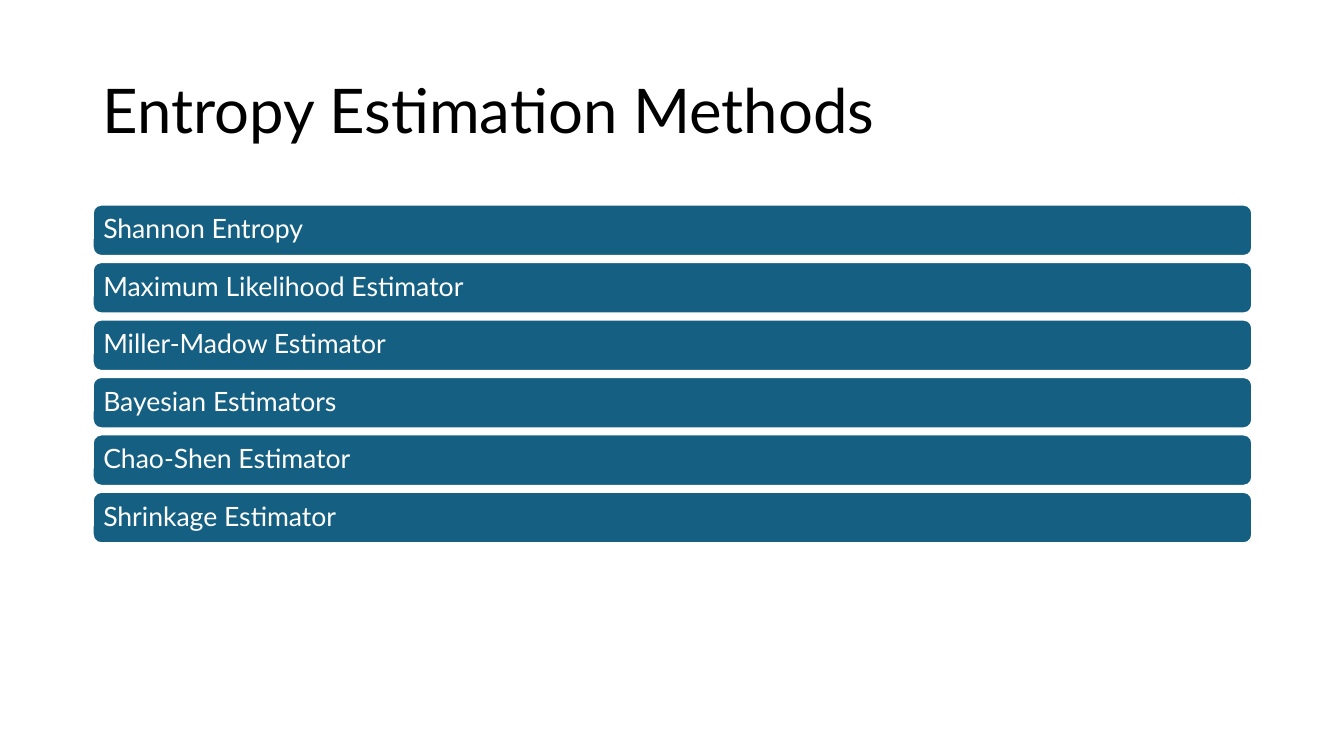
from pptx import Presentation
from pptx.dml.color import RGBColor
from pptx.enum.shapes import MSO_SHAPE
from pptx.enum.text import MSO_ANCHOR, MSO_AUTO_SIZE, PP_ALIGN
from pptx.util import Inches, Pt

ROUND = MSO_SHAPE.ROUNDED_RECTANGLE
MIDDLE = MSO_ANCHOR.MIDDLE
NO_FIT = MSO_AUTO_SIZE.NONE
LEFT = PP_ALIGN.LEFT

COLORS = {"ink": "000000", "bar": "156082", "white": "FFFFFF"}
METHODS = [
    "Shannon Entropy",
    "Maximum Likelihood Estimator",
    "Miller-Madow Estimator",
    "Bayesian Estimators",
    "Chao-Shen Estimator",
    "Shrinkage Estimator",
]


def color(name):
    return RGBColor.from_string(COLORS[name])


def apply(target, values):
    for name, value in values.items():
        setattr(target, name, value)


class Deck:
    """Holds the text style and the current slide."""

    font = "Lato"
    frame = {"word_wrap": True, "auto_size": NO_FIT, "vertical_anchor": MIDDLE}
    para = {"alignment": LEFT, "line_spacing": 0.9}
    inset = {f"margin_{side}": Inches(0.08)
             for side in ("left", "right", "top", "bottom")}

    def __init__(self, show):
        # Title Only layout
        self.slide = show.slides.add_slide(show.slide_layouts[5])

    def label(self, shape, text, size, ink):
        frame = shape.text_frame
        frame.text = text
        apply(frame, self.frame)
        para = frame.paragraphs[0]
        apply(para, self.para)
        apply(para.font, {"name": self.font, "size": Pt(size), "bold": False})
        para.font.color.rgb = color(ink)

    def title(self, text, left, top, width, height):
        shape = self.slide.shapes.title
        apply(shape, {"left": Inches(left), "top": Inches(top),
                      "width": Inches(width), "height": Inches(height)})
        self.label(shape, text, 44, "ink")

    def bar(self, text, left, top, width, height):
        shape = self.slide.shapes.add_shape(
            ROUND, Inches(left), Inches(top), Inches(width), Inches(height))
        shape.shadow.inherit = False
        shape.fill.solid()
        shape.fill.fore_color.rgb = color("bar")
        shape.line.color.rgb = color("white")
        shape.line.width = Pt(1.5)
        apply(shape.text_frame, self.inset)
        self.label(shape, text, 19, "white")


def main():
    show = Presentation()
    apply(show, {"slide_width": Inches(13.33), "slide_height": Inches(7.5)})
    deck = Deck(show)

    # Heading
    deck.title("Entropy Estimation Methods", 0.92, 0.4, 11.5, 1.45)

    # One bar per method, evenly stacked
    for row, method in enumerate(METHODS):
        deck.bar(method, 0.92, 2.03 + row * 0.57, 11.5, 0.51)

    show.save("out.pptx")


if __name__ == "__main__":
    main()
